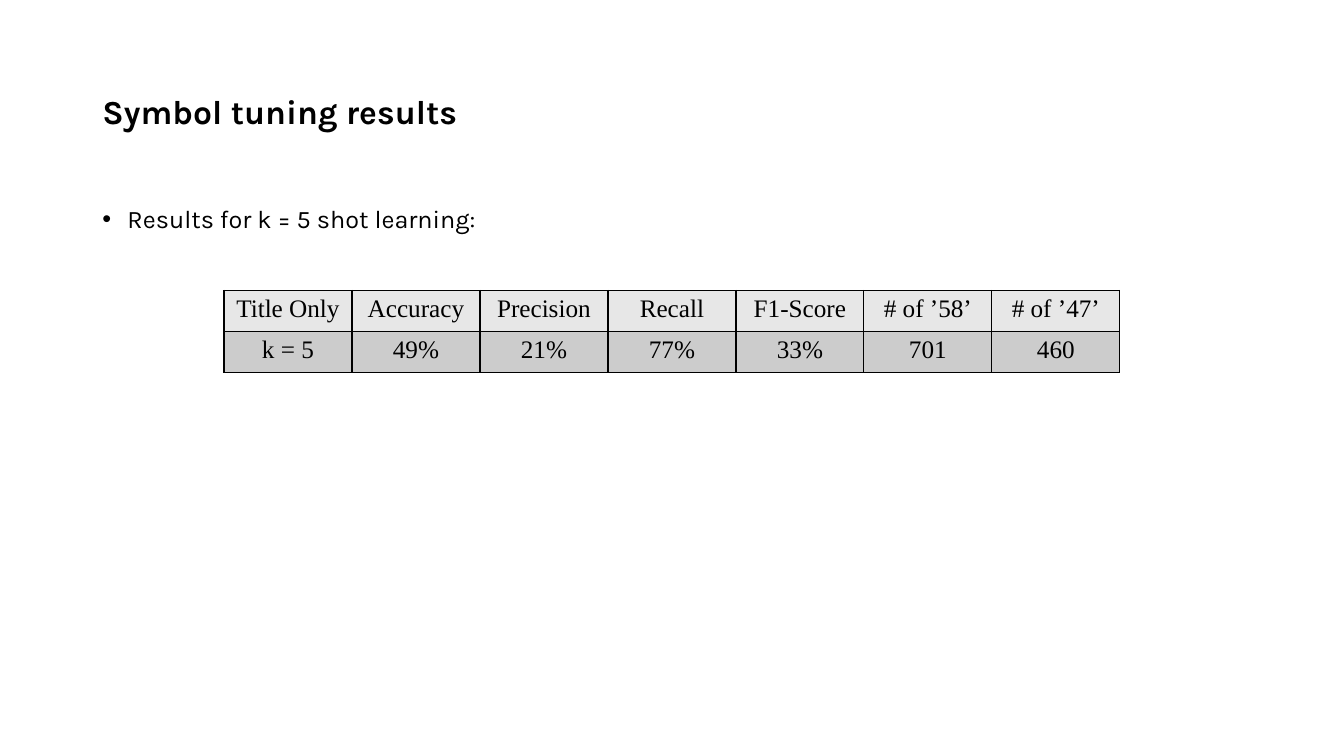
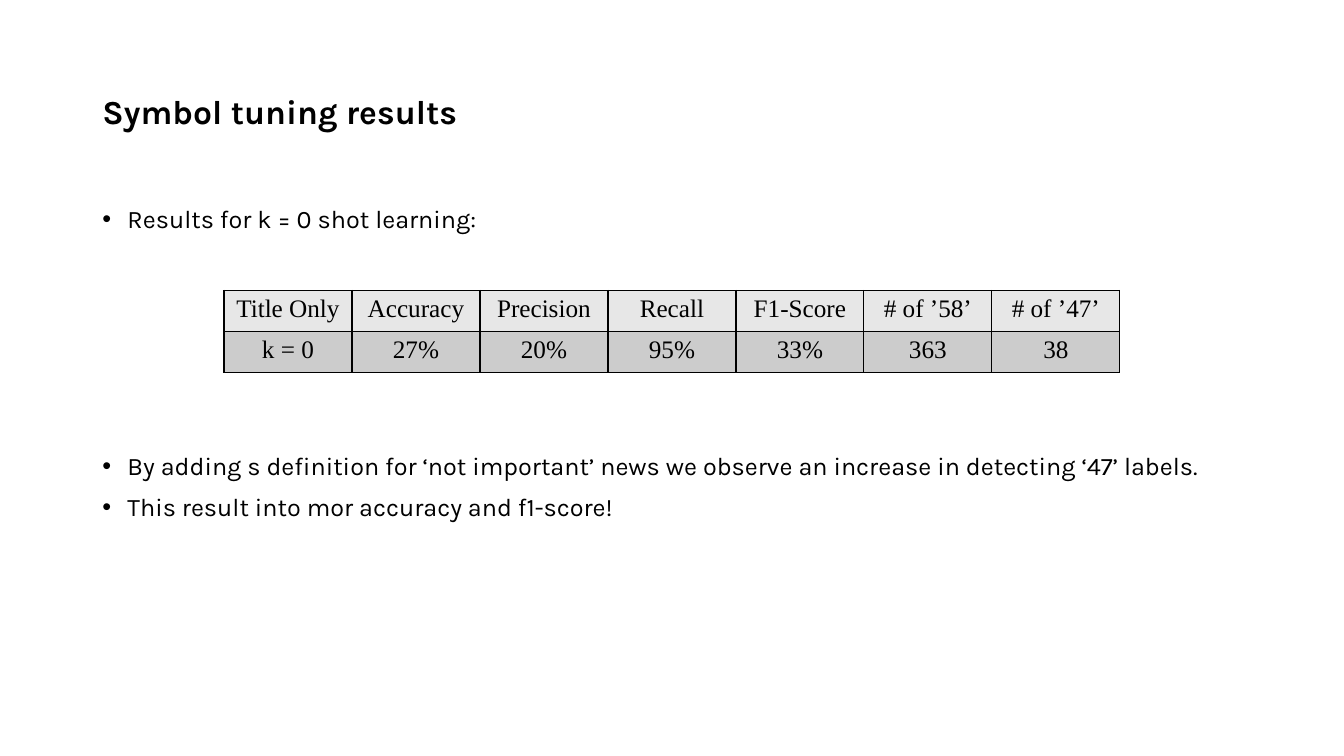
from dataclasses import dataclass

import pptx
import pptx.dml.color
import pptx.enum.text
import pptx.oxml.ns
import pptx.util
from lxml import etree

Pt = pptx.util.Pt

# Content
TITLE = "Symbol tuning results"
HEADER = ["Title Only", "Accuracy", "Precision", "Recall", "F1-Score", "# of ’58’", "# of ’47’"]
SLIDES = [
    {
        "intro": ["Results for k = 5 shot learning:"],
        "scores": ["k = 5", "49%", "21%", "77%", "33%", "701", "460"],
        "findings": [],
    },
    {
        "intro": ["Results for k = 0 shot learning:"],
        "scores": ["k = 0", "27%", "20%", "95%", "33%", "363", "38"],
        "findings": [
            "By adding s definition for ‘not important’ news we observe an increase in detecting ‘47’ labels.",
            "This result into mor accuracy and f1-score!",
        ],
    },
]


# Theme and layout
@dataclass(frozen=True)
class Theme:
    ink: str = "000000"
    row_fills: tuple = ("E7E7E7", "CCCCCC")
    text_font: str = "Karla"
    table_font: str = "Times New Roman"
    title_size: int = 24
    body_size: int = 18
    line_spacing: float = 0.9
    paragraph_gap: int = 10
    bullet_indent: int = 18
    border: int = 1


THEME = Theme()
SLIDE_WIDTH, SLIDE_HEIGHT = 960, 540
MARGIN = 66
TEXT_WIDTH = SLIDE_WIDTH - 2 * MARGIN
TITLE_TOP, TITLE_HEIGHT = 28.8, 104.4
INTRO_TOP, INTRO_HEIGHT = 144, 40
FINDINGS_TOP, FINDINGS_HEIGHT = 320.4, 60
TABLE_TOP, TABLE_WIDTH, ROW_HEIGHT = 207.4, 640, 29.2


def rgb(value):
    return pptx.dml.color.RGBColor.from_string(value)


def style_font(font, name, size, bold=False):
    font.name = name
    font.size = Pt(size)
    font.bold = bold
    font.color.rgb = rgb(THEME.ink)


def add_text(page, lines, top, height, size, bold=False, bullets=False):
    box = page.shapes.add_textbox(Pt(MARGIN), Pt(top), Pt(TEXT_WIDTH), Pt(height))
    frame = box.text_frame
    frame.word_wrap = True
    frame.text = "\n".join(lines)
    for index, para in enumerate(frame.paragraphs):
        para.line_spacing = THEME.line_spacing
        if index:
            para.space_before = Pt(THEME.paragraph_gap)
        if bullets:
            add_bullet(para)
        for span in para.runs:
            style_font(span.font, THEME.text_font, size, bold)
    return frame


def add_bullet(para):
    properties = para._p.get_or_add_pPr()
    properties.set("marL", str(Pt(THEME.bullet_indent)))
    properties.set("indent", str(-Pt(THEME.bullet_indent)))
    bullet_font = etree.SubElement(properties, pptx.oxml.ns.qn("a:buFont"))
    bullet_font.set("typeface", "Arial")
    etree.SubElement(properties, pptx.oxml.ns.qn("a:buChar")).set("char", "•")


def add_borders(cell):
    properties = cell._tc.get_or_add_tcPr()
    for side in ("lnL", "lnR", "lnT", "lnB"):
        line = etree.SubElement(properties, pptx.oxml.ns.qn(f"a:{side}"))
        line.set("w", str(Pt(THEME.border)))
        fill = etree.SubElement(line, pptx.oxml.ns.qn("a:solidFill"))
        etree.SubElement(fill, pptx.oxml.ns.qn("a:srgbClr")).set("val", THEME.ink)


def add_score_table(page, rows):
    left = (SLIDE_WIDTH - TABLE_WIDTH) / 2
    table = page.shapes.add_table(
        len(rows), len(HEADER), Pt(left), Pt(TABLE_TOP),
        Pt(TABLE_WIDTH), Pt(ROW_HEIGHT * len(rows)),
    ).table
    table.first_row = table.horz_banding = False
    for row, values, fill in zip(table.rows, rows, THEME.row_fills):
        for cell, value in zip(row.cells, values):
            add_borders(cell)
            cell.fill.solid()
            cell.fill.fore_color.rgb = rgb(fill)
            cell.text = value
            para = cell.text_frame.paragraphs[0]
            para.alignment = pptx.enum.text.PP_ALIGN.CENTER
            style_font(para.runs[0].font, THEME.table_font, THEME.body_size)


def add_results_slide(deck, content):
    page = deck.slides.add_slide(deck.slide_layouts[6])
    title = add_text(page, [TITLE], TITLE_TOP, TITLE_HEIGHT, THEME.title_size, bold=True)
    title.vertical_anchor = pptx.enum.text.MSO_ANCHOR.MIDDLE
    add_text(page, content["intro"], INTRO_TOP, INTRO_HEIGHT, THEME.body_size, bullets=True)
    add_score_table(page, [HEADER, content["scores"]])
    if content["findings"]:
        add_text(page, content["findings"], FINDINGS_TOP, FINDINGS_HEIGHT,
                 THEME.body_size, bullets=True)


def main():
    deck = pptx.Presentation()
    deck.slide_width, deck.slide_height = Pt(SLIDE_WIDTH), Pt(SLIDE_HEIGHT)
    for content in SLIDES:
        add_results_slide(deck, content)
    deck.save("out.pptx")


if __name__ == "__main__":
    main()
